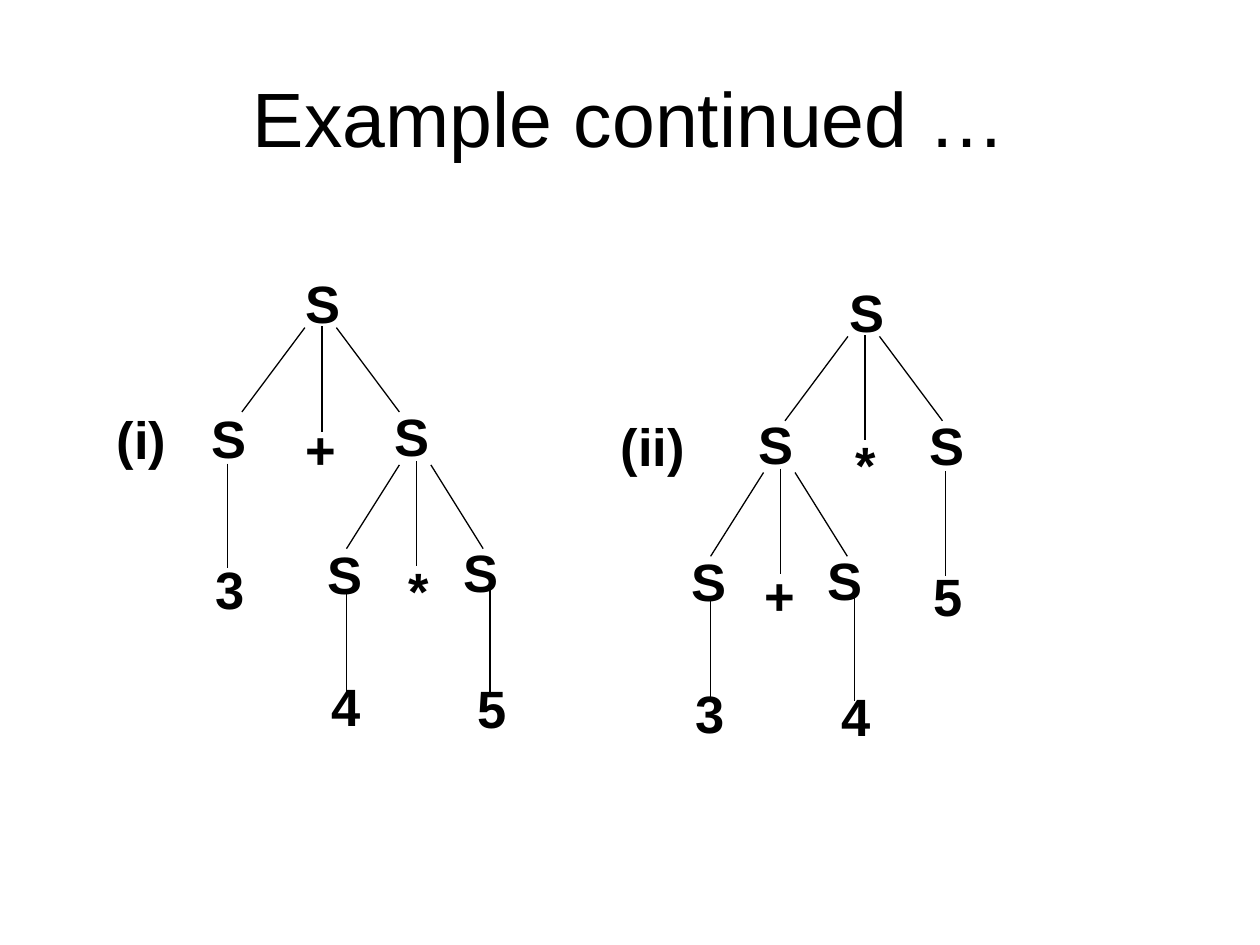
from lxml.etree import SubElement
from pptx import Presentation
from pptx.dml.color import RGBColor
from pptx.enum.shapes import MSO_CONNECTOR as Conn
from pptx.enum.text import MSO_ANCHOR as Anchor, MSO_AUTO_SIZE as Fit, PP_ALIGN as Align
from pptx.oxml.ns import qn
from pptx.util import Inches, Pt

deck = Presentation()
deck.slide_width, deck.slide_height = Inches(10), Inches(7.5)
slide = deck.slides.add_slide(deck.slide_layouts[5])

# Grid of 100 columns by 75 rows
col = deck.slide_width / 100
row = deck.slide_height / 75
ink = RGBColor.from_string


def label(group, text, x, y, wide=9.2):
    box = group.shapes.add_textbox(int(x * col), int(y * row), int(wide * col), int(6 * row))
    frame = box.text_frame
    frame.word_wrap = True
    frame.auto_size = Fit.SHAPE_TO_FIT_TEXT
    par = frame.paragraphs[0]
    par.space_before = Pt(18.7)
    run = par.add_run()
    run.text = text
    run.font.name, run.font.size, run.font.bold = "Arial", Pt(30), True
    run.font.color.rgb = ink("000000")


def edge(group, x, y, dx, dy):
    line = group.shapes.add_connector(
        Conn.STRAIGHT, int(x * col), int(y * row), int((x + dx) * col), int((y + dy) * row))
    line.line.color.rgb = ink("000000")
    line.line.width = Pt(0.75)
    SubElement(line._element.spPr, qn("a:effectLst"))


# Title
title = slide.shapes.title
title.left, title.top = int(5 * col), int(3 * row)
title.width, title.height = int(90 * col), int(12.5 * row)
title.text_frame.vertical_anchor = Anchor.MIDDLE
par = title.text_frame.paragraphs[0]
par.alignment = Align.CENTER
run = par.add_run()
run.text = "Example continued …"
run.font.name, run.font.size = "Arial", Pt(44)
run.font.color.rgb = ink("000000")

# Each tree: name, root, upper sign, lone branch, split branch, lower sign
trees = [
    (("(i)", 8.3, 31.8), (23.3, 21), ("+", 23.3, 32.6),
     ("3", 15.8, 31.7), ("4", "5", 30.3, 31.6), ("*", 31.4, 43.8)),
    (("(ii)", 48.3, 32.4), (66.4, 21.7), ("*", 66.9, 33.8),
     ("5", 72.8, 32.3), ("3", "4", 59.2, 32.2), ("+", 59.7, 44.2)),
]

for name, root, sign, lone, split, low in trees:
    group = slide.shapes.add_group_shape()
    label(group, *name, 13.3)
    label(group, *sign)
    label(group, *low)

    # Root and its three edges
    x, y = root
    label(group, "S", x, y)
    edge(group, x + 0.9, y + 5, -5, 6.7)
    edge(group, x + 2.25, y + 4.9, 0, 8.35)
    edge(group, x + 3.4, y + 5, 5, 6.7)

    # Branch with a single digit
    digit, x, y = lone
    label(group, "S", x, y)
    edge(group, x + 2.25, y + 5.1, 0, 8.3)
    label(group, digit, x + 0.3, y + 12, 13.3)

    # Branch that splits in three
    left, right, x, y = split
    label(group, "S", x, y)
    edge(group, x + 1.4, y + 5.3, -4.2, 6.65)
    edge(group, x + 2.75, y + 5, 0, 8.35)
    edge(group, x + 3.9, y + 5.3, 4.15, 6.65)
    for digit, sx, sy, stem, dx, dy in (
            (left, x - 5.3, y + 10.9, 2.5, 0.3, 10.5),
            (right, x + 5.5, y + 10.8, 3.1, 1.1, 10.8)):
        label(group, "S", sx, sy)
        edge(group, sx + stem, sy + 4.35, 0, 8.25)
        label(group, digit, sx + dx, sy + dy, 13.3)

deck.save("out.pptx")
